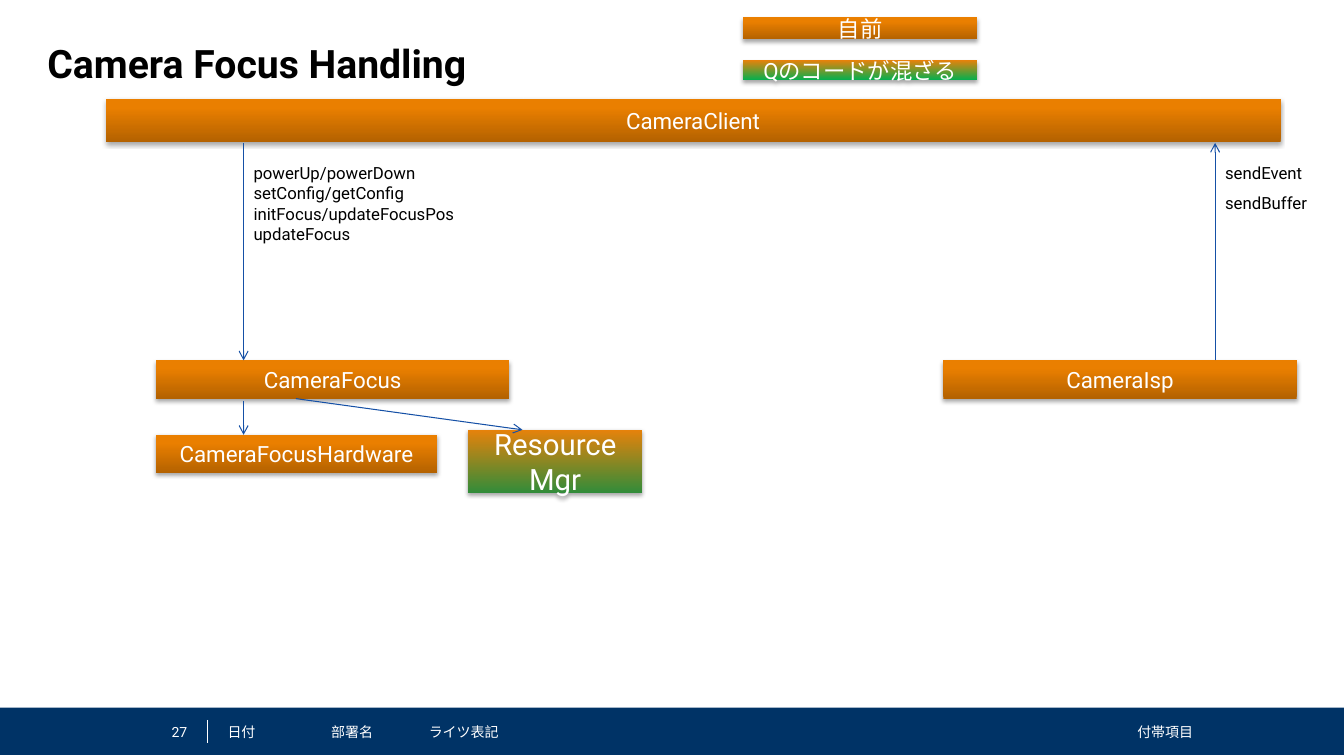
import pptx
import pptx.util
import pptx.dml.color
import pptx.enum.shapes
import pptx.enum.text
import pptx.oxml
import pptx.oxml.ns
from dataclasses import dataclass
from lxml import etree

Inches, Pt = pptx.util.Inches, pptx.util.Pt
Align, Anchor = pptx.enum.text.PP_ALIGN, pptx.enum.text.MSO_ANCHOR
AutoSize = pptx.enum.text.MSO_AUTO_SIZE
rgb = pptx.dml.color.RGBColor.from_string


@dataclass(frozen=True)
class Theme:
    font: str = "Roboto"
    black: str = "000000"
    white: str = "FFFFFF"
    navy: str = "003366"
    arrow: str = "1550A6"
    title_size: int = 28
    manager_size: int = 21
    box_size: int = 16
    label_size: int = 12
    footer_size: int = 10
    # Gradients: bottom colour, top colour, position where the top colour begins
    own: tuple = ("B46200", "EA7F00", 0.8)
    mixed: tuple = ("00B050", "E6820B", 1)
    manager: tuple = ("318C3A", "E6820B", 1)


theme = Theme()
SHADOW = (
    f'<a:effectLst {pptx.oxml.ns.nsdecls("a")}>'
    '<a:outerShdw blurRad="40000" dist="23000" dir="5400000" rotWithShape="0">'
    '<a:srgbClr val="000000"><a:alpha val="35000"/></a:srgbClr>'
    '</a:outerShdw></a:effectLst>'
)


def write(frame, lines, size, color, align=Align.LEFT, bold=False):
    """Fill a text frame with one paragraph per line."""
    for index, line in enumerate(lines):
        para = frame.paragraphs[0] if index == 0 else frame.add_paragraph()
        para.text = line
        para.alignment = align
        para.font.name = theme.font
        para.font.size = Pt(size)
        para.font.bold = bold
        para.font.color.rgb = rgb(color)


def add_line(page, points, color, width, arrow=False):
    connector = page.shapes.add_connector(
        pptx.enum.shapes.MSO_CONNECTOR.STRAIGHT, *map(Inches, points))
    connector.line.color.rgb = rgb(color)
    connector.line.width = Pt(width)
    properties = connector._element.spPr
    if arrow:
        etree.SubElement(connector.line._get_or_add_ln(),
                         pptx.oxml.ns.qn("a:tailEnd"), type="arrow")
    etree.SubElement(properties, pptx.oxml.ns.qn("a:effectLst"))


deck = pptx.Presentation()
deck.slide_width, deck.slide_height = Inches(13.35), Inches(7.5)
page = deck.slides.add_slide(deck.slide_layouts[5])
rectangle = pptx.enum.shapes.MSO_SHAPE.RECTANGLE

# Footer
band = page.shapes.add_shape(
    rectangle, Inches(0), Inches(7.03), Inches(13.35), Inches(0.47))
band.shadow.inherit = False
band.fill.solid()
band.fill.fore_color.rgb = rgb(theme.navy)
band.line.fill.background()
add_line(page, (2.06, 7.15, 2.06, 7.38), theme.white, 0.25)

footers = [
    ("27", 1.55, 0.31, Align.RIGHT),
    ("日付", 2.26, 0.85, Align.LEFT),
    ("部署名", 3.29, 0.85, Align.LEFT),
    ("ライツ表記", 4.26, 4.34, Align.LEFT),
    ("付帯項目", 8.78, 3.07, Align.RIGHT),
]
for text, left, width, align in footers:
    frame = page.shapes.add_textbox(
        Inches(left), Inches(7.15), Inches(width), Inches(0.24)).text_frame
    frame.word_wrap = True
    frame.vertical_anchor = Anchor.MIDDLE
    frame.margin_left = frame.margin_right = Inches(0)
    frame.margin_top = frame.margin_bottom = Inches(0)
    write(frame, [text], theme.footer_size, theme.white, align)

# Title
title = page.shapes.title
title.left, title.top = Inches(0.47), Inches(0.39)
title.width, title.height = Inches(12.4), Inches(0.59)
frame = title.text_frame
frame.auto_size = AutoSize.NONE
frame.vertical_anchor = Anchor.TOP
frame.margin_left = frame.margin_right = Inches(0)
frame.margin_top = frame.margin_bottom = Inches(0)
write(frame, ["Camera Focus Handling"], theme.title_size, theme.black, bold=True)

# Modules and legend
boxes = [
    ("CameraClient", 1.05, 0.98, 11.67, 0.43, theme.own, theme.box_size),
    ("CameraIsp", 9.37, 3.58, 3.51, 0.38, theme.own, theme.box_size),
    ("Resource Mgr", 4.65, 4.27, 1.73, 0.63, theme.manager, theme.manager_size),
    ("自前", 7.38, 0.17, 2.33, 0.22, theme.own, theme.box_size),
    ("Qのコードが混ざる", 7.38, 0.6, 2.33, 0.2, theme.mixed, theme.box_size),
    ("CameraFocusHardware", 1.55, 4.32, 2.79, 0.38, theme.own, theme.box_size),
    ("CameraFocus", 1.55, 3.58, 3.51, 0.38, theme.own, theme.box_size),
]
for text, left, top, width, height, (bottom_color, top_color, end), size in boxes:
    box = page.shapes.add_shape(
        rectangle, Inches(left), Inches(top), Inches(width), Inches(height))
    box.fill.gradient()
    box.fill.gradient_angle = 90
    first, last = box.fill.gradient_stops
    first.color.rgb, first.position = rgb(bottom_color), 0
    last.color.rgb, last.position = rgb(top_color), end
    box.line.fill.background()
    box._element.spPr.append(pptx.oxml.parse_xml(SHADOW))
    box.text_frame.word_wrap = True
    box.text_frame.vertical_anchor = Anchor.MIDDLE
    write(box.text_frame, [text], size, theme.white, Align.CENTER)

# Calls between modules
arrows = [
    (12.07, 3.58, 12.07, 1.42),
    (2.42, 1.42, 2.42, 3.58),
    (2.42, 3.98, 2.42, 4.32),
    (2.94, 3.96, 5.19, 4.27),
]
for points in arrows:
    add_line(page, points, theme.arrow, 0.75, arrow=True)

labels = [
    (["sendEvent"], 12.07, 1.57, 1.01, 0.3),
    (["sendBuffer"], 12.07, 1.87, 1.05, 0.3),
    (["powerUp/powerDown", "setConfig/getConfig",
      "initFocus/updateFocusPos", "updateFocus"], 2.42, 1.57, 2.24, 0.91),
]
for lines, left, top, width, height in labels:
    frame = page.shapes.add_textbox(
        Inches(left), Inches(top), Inches(width), Inches(height)).text_frame
    frame.word_wrap = False
    frame.auto_size = AutoSize.SHAPE_TO_FIT_TEXT
    write(frame, lines, theme.label_size, theme.black)

deck.save("out.pptx")
